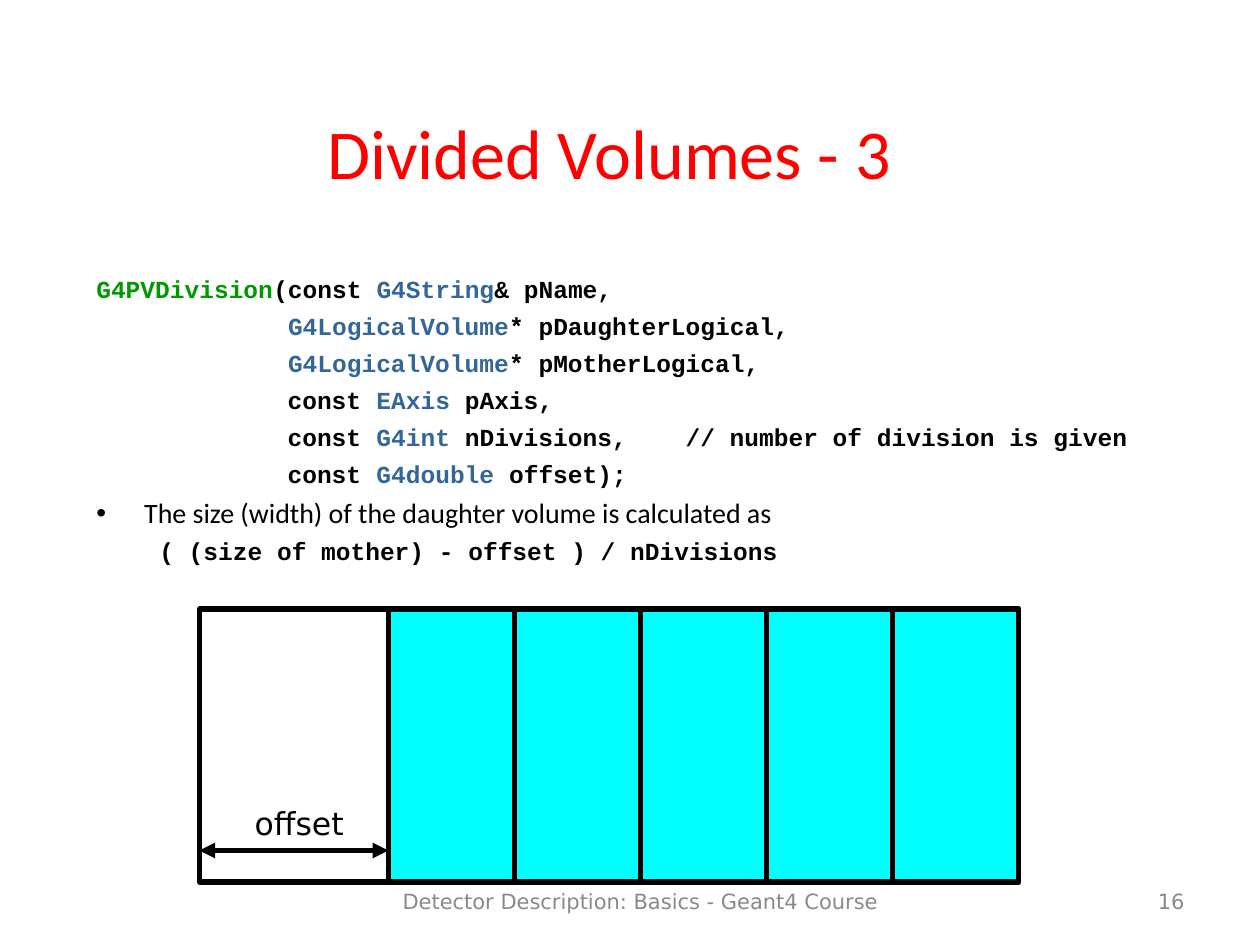
from dataclasses import dataclass

from lxml import etree
from pptx import Presentation
from pptx import util as u
from pptx.dml.color import RGBColor
from pptx.enum import shapes, text
from pptx.oxml import ns

BLACK = RGBColor(0, 0, 0)
RED = RGBColor(0xFF, 0, 0)
GREEN = RGBColor(0, 0x99, 0)
BLUE = RGBColor(0x33, 0x66, 0x99)
CYAN = RGBColor(0, 0xFF, 0xFF)
GREY = RGBColor(0x89, 0x89, 0x89)

COLUMNS, ROWS = 120, 90
WIDTH, HEIGHT = u.Inches(10), u.Inches(7.5)
CODE_INDENT = " " * 13


@dataclass(frozen=True)
class Area:
    left: float
    top: float
    width: float
    height: float

    def lengths(self) -> tuple[int, int, int, int]:
        return (column(self.left), row(self.top),
                column(self.width), row(self.height))


@dataclass(frozen=True)
class Style:
    font: str
    size: float
    bold: bool = False


@dataclass(frozen=True)
class Span:
    words: str
    color: RGBColor = BLACK


@dataclass(frozen=True)
class Para:
    spans: tuple[Span, ...]
    style: Style
    align: text.PP_ALIGN = text.PP_ALIGN.LEFT
    before: float = 0
    margin: float = 0
    indent: float = 0
    bullet: str = ""


@dataclass(frozen=True)
class Label:
    area: Area
    words: str
    style: Style
    color: RGBColor
    align: text.PP_ALIGN = text.PP_ALIGN.CENTER


TITLE = Style("Calibri", 40)
CODE = Style("Courier New", 14, True)
PROSE = Style("Calibri", 16)
CAPTION = Style("DejaVu Sans", 18)
FOOTER = Style("DejaVu Sans", 12)

LABELS = (
    Label(Area(7, 9.8, 102, 9.3), "Divided Volumes - 3", TITLE, RED),
    Label(Area(32, 83.4, 58, 4.8),
          "Detector Description: Basics - Geant4 Course", FOOTER, GREY),
    Label(Area(100, 83.4, 14, 4.8), "16", FOOTER, GREY, text.PP_ALIGN.RIGHT),
)
OFFSET_LABEL = Label(Area(22, 76, 13, 4.8), "offset", CAPTION, BLACK)

SIGNATURE = (
    (Span("G4PVDivision", GREEN), Span("(const "),
     Span("G4String", BLUE), Span("& pName,")),
    (Span(CODE_INDENT), Span("G4LogicalVolume", BLUE),
     Span("* pDaughterLogical,")),
    (Span(CODE_INDENT), Span("G4LogicalVolume", BLUE),
     Span("* pMotherLogical,")),
    (Span(CODE_INDENT + "const "), Span("EAxis", BLUE), Span(" pAxis,")),
    (Span(CODE_INDENT + "const "), Span("G4int", BLUE),
     Span(" nDivisions,    // number of division is given")),
    (Span(CODE_INDENT + "const "), Span("G4double", BLUE), Span(" offset);")),
)
BODY = Area(8, 25, 109, 30)
MOTHER = Area(19, 58, 78, 26)
OFFSET, CELL, DIVISIONS = 18, 12, 5
ARROW_ROW = 81


def column(count: float) -> int:
    """Return the length of a number of grid columns."""
    return round(WIDTH * count / COLUMNS)


def row(count: float) -> int:
    """Return the length of a number of grid rows."""
    return round(HEIGHT * count / ROWS)


def add_text(page, area: Area, paras: list[Para], anchor: text.MSO_ANCHOR):
    """Add a wrapped text box and return its frame."""
    frame = page.shapes.add_textbox(*area.lengths()).text_frame
    frame.word_wrap = True
    frame.vertical_anchor = anchor
    for index, para in enumerate(paras):
        line = frame.add_paragraph() if index else frame.paragraphs[0]
        fill_paragraph(line, para)
    return frame


def fill_paragraph(line, para: Para) -> None:
    """Set the layout of one paragraph and add its runs."""
    line.alignment = para.align
    line.space_before = u.Pt(para.before)
    layout = line._p.get_or_add_pPr()
    layout.set("marL", str(u.Inches(para.margin)))
    layout.set("indent", str(u.Inches(para.indent)))
    if para.bullet:
        tint = etree.SubElement(layout, ns.qn("a:buClr"))
        etree.SubElement(tint, ns.qn("a:srgbClr"), val=str(BLACK))
        etree.SubElement(layout, ns.qn("a:buFont"), typeface="Arial")
        etree.SubElement(layout, ns.qn("a:buChar"), char=para.bullet)
    for span in para.spans:
        run = line.add_run()
        run.text = span.words
        run.font.name = para.style.font
        run.font.size = u.Pt(para.style.size)
        run.font.bold = para.style.bold
        run.font.color.rgb = span.color


def add_label(page, label: Label,
              anchor: text.MSO_ANCHOR = text.MSO_ANCHOR.MIDDLE) -> None:
    """Add a single line of text."""
    para = Para((Span(label.words, label.color),), label.style, label.align)
    add_text(page, label.area, [para], anchor)


def add_body(page) -> None:
    """Add the constructor signature and the width formula."""
    paras = [Para(spans, CODE, before=4.4 if index else 0,
                  margin=0.38, indent=-0.38)
             for index, spans in enumerate(SIGNATURE)]
    paras.append(Para(
        (Span("The size (width) of the daughter volume is calculated as"),),
        PROSE, before=4, margin=0.38, indent=-0.38, bullet="•"))
    paras.append(Para(
        (Span("( (size of mother) - offset ) / nDivisions"),),
        CODE, before=4, margin=0.81, indent=-0.31))
    frame = add_text(page, BODY, paras, text.MSO_ANCHOR.TOP)
    frame.margin_top = u.Inches(0.09)


def add_volume(page, area: Area, color: RGBColor | None = None) -> None:
    """Add an outlined rectangle, filled when a colour is given."""
    box = page.shapes.add_shape(shapes.MSO_SHAPE.RECTANGLE, *area.lengths())
    box.shadow.inherit = False
    box.line.color.rgb = BLACK
    box.line.width = u.Pt(3)
    if color is None:
        box.fill.background()
    else:
        box.fill.solid()
        box.fill.fore_color.rgb = color


def add_offset_arrow(page) -> None:
    """Add the double-headed arrow that spans the offset."""
    arrow = page.shapes.add_connector(
        shapes.MSO_CONNECTOR.STRAIGHT, column(MOTHER.left), row(ARROW_ROW),
        column(MOTHER.left + OFFSET), row(ARROW_ROW))
    arrow.line.color.rgb = BLACK
    arrow.line.width = u.Pt(3)
    for end in ("a:headEnd", "a:tailEnd"):
        etree.SubElement(arrow.line._get_or_add_ln(), ns.qn(end),
                         type="triangle")
    etree.SubElement(arrow._element.spPr, ns.qn("a:effectLst"))


def main() -> None:
    """Build the slide on divided volumes."""
    deck = Presentation()
    deck.slide_width, deck.slide_height = WIDTH, HEIGHT
    page = deck.slides.add_slide(deck.slide_layouts[6])
    for label in LABELS:
        add_label(page, label)
    add_body(page)
    add_volume(page, MOTHER)
    for index in range(DIVISIONS):
        left = MOTHER.left + OFFSET + index * CELL
        add_volume(page, Area(left, MOTHER.top, CELL, MOTHER.height), CYAN)
    add_offset_arrow(page)
    add_label(page, OFFSET_LABEL, text.MSO_ANCHOR.TOP)
    deck.save("out.pptx")


if __name__ == "__main__":
    main()
